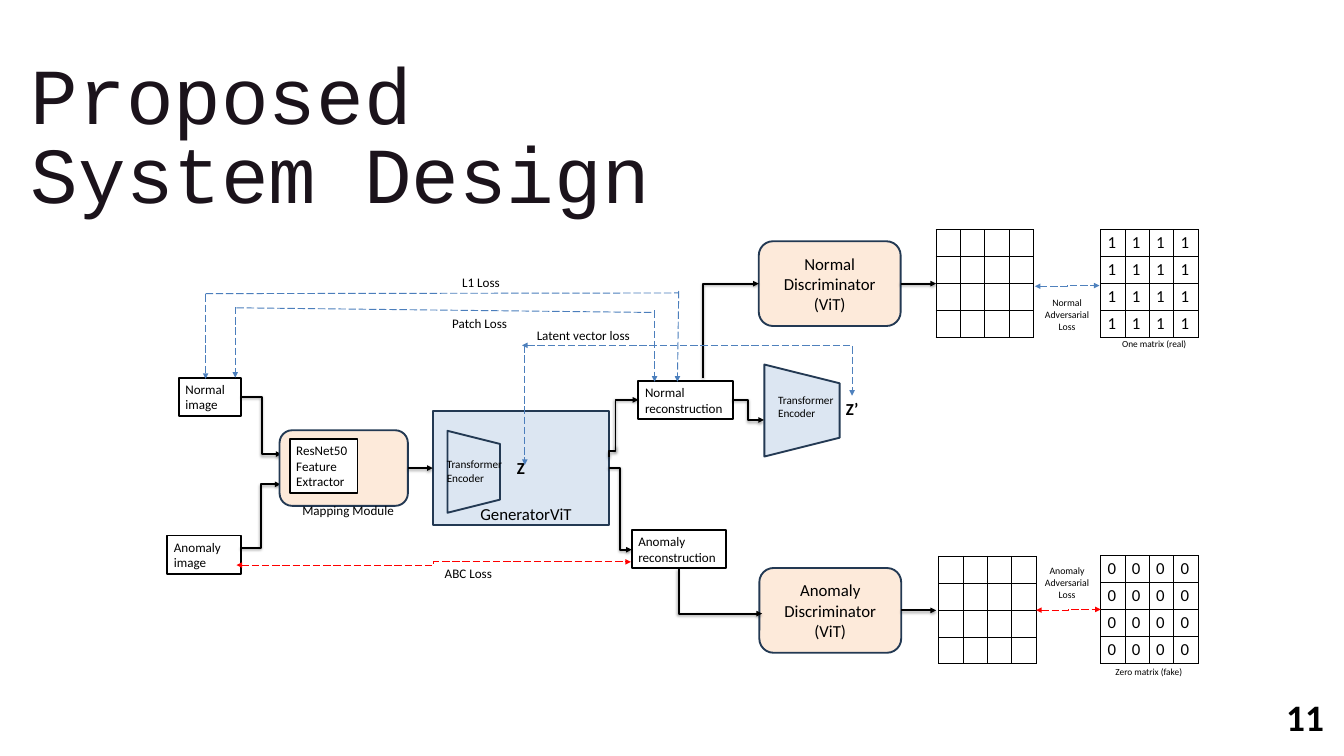
from dataclasses import dataclass

from lxml.etree import SubElement
from pptx import Presentation
from pptx.dml.color import RGBColor
from pptx.enum.dml import MSO_LINE
from pptx.enum.shapes import MSO_CONNECTOR, MSO_SHAPE
from pptx.enum.text import MSO_ANCHOR, PP_ALIGN
from pptx.oxml import parse_xml
from pptx.oxml.ns import nsdecls, qn
from pptx.util import Pt


@dataclass(frozen=True)
class Theme:
    ink: str = "000000"
    title_ink: str = "1B131B"
    paper: str = "FFFFFF"
    peach: str = "FDEADA"
    pale_blue: str = "DCE6F2"
    navy: str = "233953"
    blue: str = "4F81BD"
    steel: str = "4B7EBC"
    red: str = "FF0000"
    body_font: str = "Calibri"
    title_font: str = "Courier New"
    title: float = 85
    number: float = 40
    large: float = 18
    medium: float = 14
    small: float = 12
    loss: float = 10.5
    caption: float = 10


class Diagram:
    def __init__(self, page, theme):
        self.page = page
        self.theme = theme

    def fill_text(self, frame, text, size, align=PP_ALIGN.LEFT, bold=False, font=None, color=None):
        frame.text = text
        for para in frame.paragraphs:
            para.alignment = align
            para.font.size = Pt(size)
            para.font.bold = bold
            para.font.name = font or self.theme.body_font
            para.font.color.rgb = RGBColor.from_string(color or self.theme.ink)

    def label(self, x, y, w, h, text, size, wrap=False, **style):
        box = self.page.shapes.add_textbox(Pt(x), Pt(y), Pt(w), Pt(h))
        box.text_frame.word_wrap = wrap
        self.fill_text(box.text_frame, text, size, **style)
        return box

    def block(self, kind, x, y, w, h, fill, line, text="", size=18, rotation=0, **style):
        shape = self.page.shapes.add_shape(kind, Pt(x), Pt(y), Pt(w), Pt(h))
        shape.shadow.inherit = False
        shape.rotation = rotation
        shape.fill.solid()
        shape.fill.fore_color.rgb = RGBColor.from_string(fill)
        shape.line.color.rgb = RGBColor.from_string(line)
        shape.line.width = Pt(2)
        if text:
            shape.text_frame.word_wrap = True
            shape.text_frame.vertical_anchor = MSO_ANCHOR.MIDDLE
            self.fill_text(shape.text_frame, text, size, **style)
        return shape

    def card(self, x, y, w, h, text):
        return self.block(MSO_SHAPE.RECTANGLE, x, y, w, h, self.theme.paper, self.theme.ink,
                          text, self.theme.medium)

    def matrix(self, x, y, digit=""):
        side, column, row = 4, 26.1, 28.8
        table = self.page.shapes.add_table(side, side, Pt(x), Pt(y),
                                           Pt(side * column), Pt(side * row)).table
        table.first_row = table.horz_banding = False
        for i in range(side):
            table.columns[i].width = Pt(column)
            table.rows[i].height = Pt(row)
        for cell in table.iter_cells():
            cell.margin_top = cell.margin_bottom = Pt(3)
            self.fill_text(cell.text_frame, digit, self.theme.large)
            cell.fill.solid()
            cell.fill.fore_color.rgb = RGBColor.from_string(self.theme.paper)
            for i, edge in enumerate(("lnL", "lnR", "lnT", "lnB")):
                cell._tc.get_or_add_tcPr().insert(i, parse_xml(
                    f'<a:{edge} {nsdecls("a")} w="{Pt(1)}"><a:solidFill>'
                    f'<a:srgbClr val="{self.theme.ink}"/></a:solidFill></a:{edge}>'))

    def connector(self, kind, start, end, color, width, dashed, arrows, shadow):
        link = self.page.shapes.add_connector(kind, *map(Pt, (*start, *end)))
        link.line.color.rgb = RGBColor.from_string(color)
        link.line.width = Pt(width)
        if dashed:
            link.line.dash_style = MSO_LINE.LONG_DASH
        properties = link.element.spPr
        for arrow in arrows:
            SubElement(properties.find(qn("a:ln")), qn(f"a:{arrow}"), type="triangle")
        effects = SubElement(properties, qn("a:effectLst"))
        if shadow:
            glow = SubElement(effects, qn("a:outerShdw"), blurRad=str(Pt(3.1)),
                              dist=str(Pt(1.6)), dir="5400000", rotWithShape="0")
            tint = SubElement(glow, qn("a:srgbClr"), val=self.theme.ink)
            SubElement(tint, qn("a:alpha"), val="38000")
        return link

    def flow(self, start, end, kind=MSO_CONNECTOR.STRAIGHT, arrows=("tailEnd",)):
        return self.connector(kind, start, end, self.theme.ink, 2, False, arrows, True)

    def loss(self, start, end, color, kind=MSO_CONNECTOR.STRAIGHT, arrows=("tailEnd",)):
        return self.connector(kind, start, end, color, 1, True, arrows, False)

    def elbow(self, start, end, arrows=("tailEnd",)):
        return self.flow(start, end, MSO_CONNECTOR.ELBOW, arrows)

    def rising_elbow(self, start, end, arrows=("tailEnd",)):
        """Elbow that leaves its start vertically: a quarter turn about its centre."""
        (x1, y1), (x2, y2) = start, end
        cx, cy, dx, dy = (x1 + x2) / 2, (y1 + y2) / 2, (x2 - x1) / 2, (y2 - y1) / 2
        link = self.elbow((cx - dy, cy + dx), (cx + dy, cy - dx), arrows)
        link.element.spPr.find(qn("a:xfrm")).set("rot", "5400000")
        return link

    def single_bend(self, link):
        link.element.spPr.find(qn("a:prstGeom")).set("prst", "bentConnector2")


def main():
    deck = Presentation()
    deck.slide_width, deck.slide_height = Pt(1440), Pt(810)
    theme = Theme()
    diagram = Diagram(deck.slides.add_slide(deck.slide_layouts[6]), theme)
    center = PP_ALIGN.CENTER
    both = ("headEnd", "tailEnd")

    # Title
    title = diagram.label(33, 65.5, 754.5, 173, "Proposed System Design", theme.title, wrap=True,
                          font=theme.title_font, color=theme.title_ink).text_frame
    title.margin_left = title.margin_right = title.margin_top = title.margin_bottom = 0
    title.paragraphs[0].line_spacing = Pt(85)

    # Generator, encoders and discriminators
    encoder = (MSO_SHAPE.TRAPEZOID, theme.pale_blue, theme.navy)
    diagram.block(encoder[0], 810, 399.6, 98.6, 80.6, *encoder[1:], rotation=90)
    generator = diagram.block(MSO_SHAPE.RECTANGLE, 463.7, 440, 188.6, 123, theme.pale_blue,
                              theme.navy, "Z", theme.large, align=center, bold=True)
    diagram.block(encoder[0], 463.7, 477.4, 87.8, 56.2, *encoder[1:], rotation=90)
    discriminators = [
        diagram.block(MSO_SHAPE.ROUNDED_RECTANGLE, x, y, 152, 90.8, theme.peach, theme.navy,
                      f"{name} Discriminator (ViT)", theme.large, align=center)
        for name, x, y in (("Normal", 813, 258.5), ("Anomaly", 813.6, 608.6))]

    # Patch matrices
    diagram.matrix(1003, 246.2)
    diagram.matrix(1179.4, 595.6, "0")
    diagram.matrix(1005.8, 596)
    diagram.matrix(1179.4, 246.2, "1")

    # Images and reconstructions
    diagram.card(191.5, 404.6, 67, 41, "Normal image")
    diagram.card(179.3, 573.8, 79.2, 41, "Anomaly image")
    diagram.card(684, 408.2, 101.5, 41, "Normal reconstruction")
    diagram.card(676.8, 568, 101.5, 41, "Anomaly reconstruction")

    # Data flow
    diagram.elbow((259, 425.5), (301.7, 486.5))
    diagram.elbow((258, 586.8), (300.5, 519))
    diagram.single_bend(diagram.rising_elbow((659.5, 482.4), (684, 428.5)))
    diagram.elbow((652.3, 501), (676.8, 589))
    diagram.rising_elbow((659.5, 477.4), (652.3, 489.6), arrows=())
    diagram.elbow((785, 428.5), (818.6, 450))
    diagram.single_bend(diagram.rising_elbow((753, 404.6), (813, 304)))
    diagram.single_bend(diagram.rising_elbow((727.2, 609), (816.5, 657.4)))
    for discriminator, y in zip(discriminators, (303.9, 654)):
        diagram.flow((965, y), (1003, y)).begin_connect(discriminator, 3)

    # Loss links
    bent = MSO_CONNECTOR.ELBOW
    diagram.loss((253.4, 605.5), (676, 602), theme.red, bent, both)
    diagram.single_bend(diagram.loss((559.4, 370), (913, 424), theme.blue, bent, both))
    diagram.loss((1110.2, 653.8), (1179.4, 653), theme.red, bent, both)
    diagram.loss((1108.8, 306.7), (1178, 306), theme.blue, bent, both)
    for start, end in (((562.3, 370), (562.3, 498.2)), ((701.3, 332.6), (701.3, 409)),
                       ((727.2, 311.8), (725.8, 409)), ((252, 329), (252, 404.6)),
                       ((220.3, 315.4), (220.3, 406))):
        diagram.loss(start, end, theme.steel)
    diagram.loss((220.3, 314.6), (727.2, 313.9), theme.steel, arrows=())
    diagram.loss((253.4, 329.8), (701.3, 334.8), theme.steel, arrows=())

    # Labels
    diagram.label(897, 424, 32, 29, "Z’", theme.large, wrap=True, align=center, bold=True)
    for x, y, w, text in ((488, 291, 55.5, "L1 Loss"), (477.4, 334, 74, "Patch Loss"),
                          (568, 347, 115, "Latent vector loss"), (469.4, 602.6, 65.5, "ABC Loss")):
        diagram.label(x, y, w, 24.5, text, theme.medium)
    for y, name in ((314.6, "Normal"), (602, "Anomaly")):
        diagram.label(1111.3, y, 64, 45.4, f"{name} Adversarial Loss", theme.loss,
                      wrap=True, align=center)
    diagram.label(1195.2, 358.6, 87, 20, "One matrix (real)", theme.caption, wrap=True)
    diagram.label(1188, 710.6, 87, 20, "Zero matrix (fake)", theme.caption, wrap=True)
    diagram.label(507.6, 536.4, 113.8, 29, "GeneratorViT", theme.large)
    for x, y in ((471.6, 486.7), (826.6, 417.6)):
        diagram.label(x, y, 74, 36, "Transformer\nEncoder", theme.small)

    # Mapping module
    mapping = diagram.block(MSO_SHAPE.ROUNDED_RECTANGLE, 299.5, 461, 137.5, 81,
                            theme.peach, theme.navy)
    diagram.card(310.3, 470.2, 72.7, 58.3, "ResNet50\nFeature\nExtractor")
    diagram.label(316.8, 535, 121, 24.5, "Mapping Module", theme.medium, wrap=True)
    link = diagram.flow((437, 501.5), (463.7, 501.5))
    link.begin_connect(mapping, 3)
    link.end_connect(generator, 1)

    # Page number
    diagram.label(1371, 740, 69, 55.4, "11", theme.number, bold=True)

    deck.save("out.pptx")


if __name__ == "__main__":
    main()
